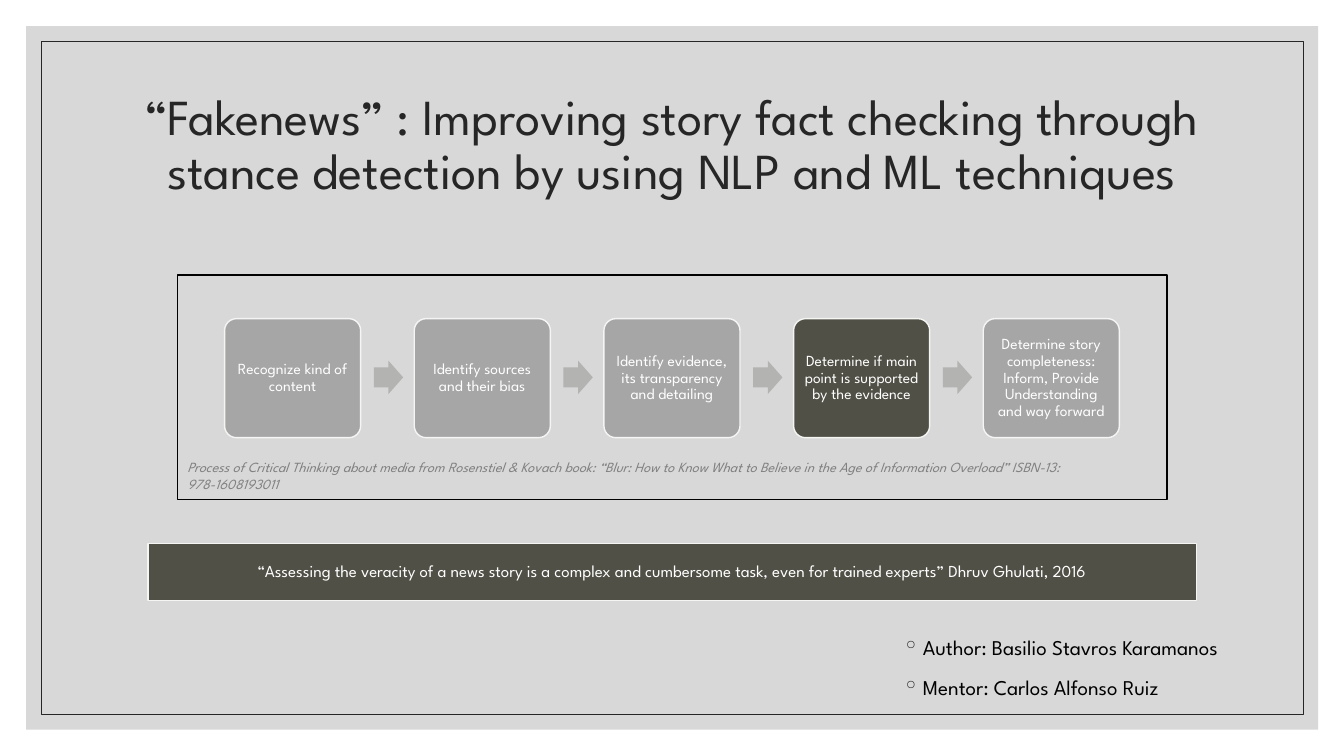
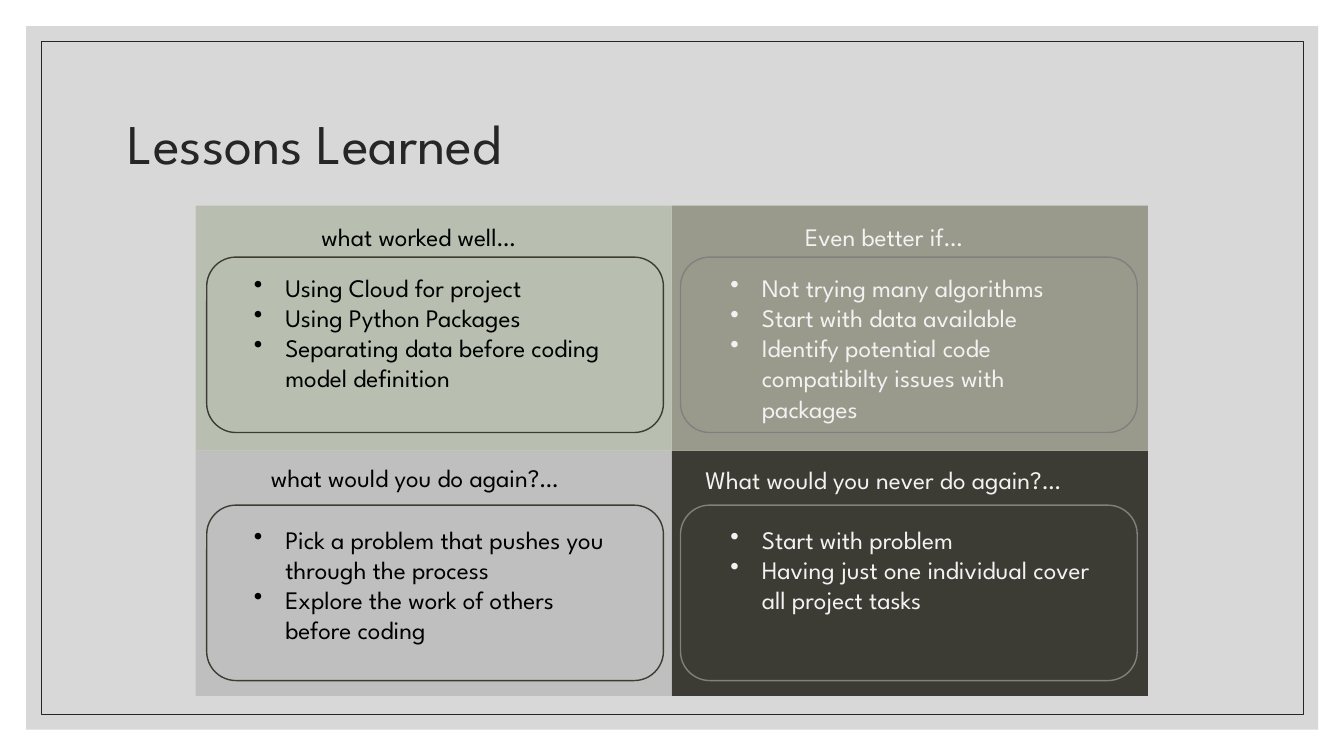
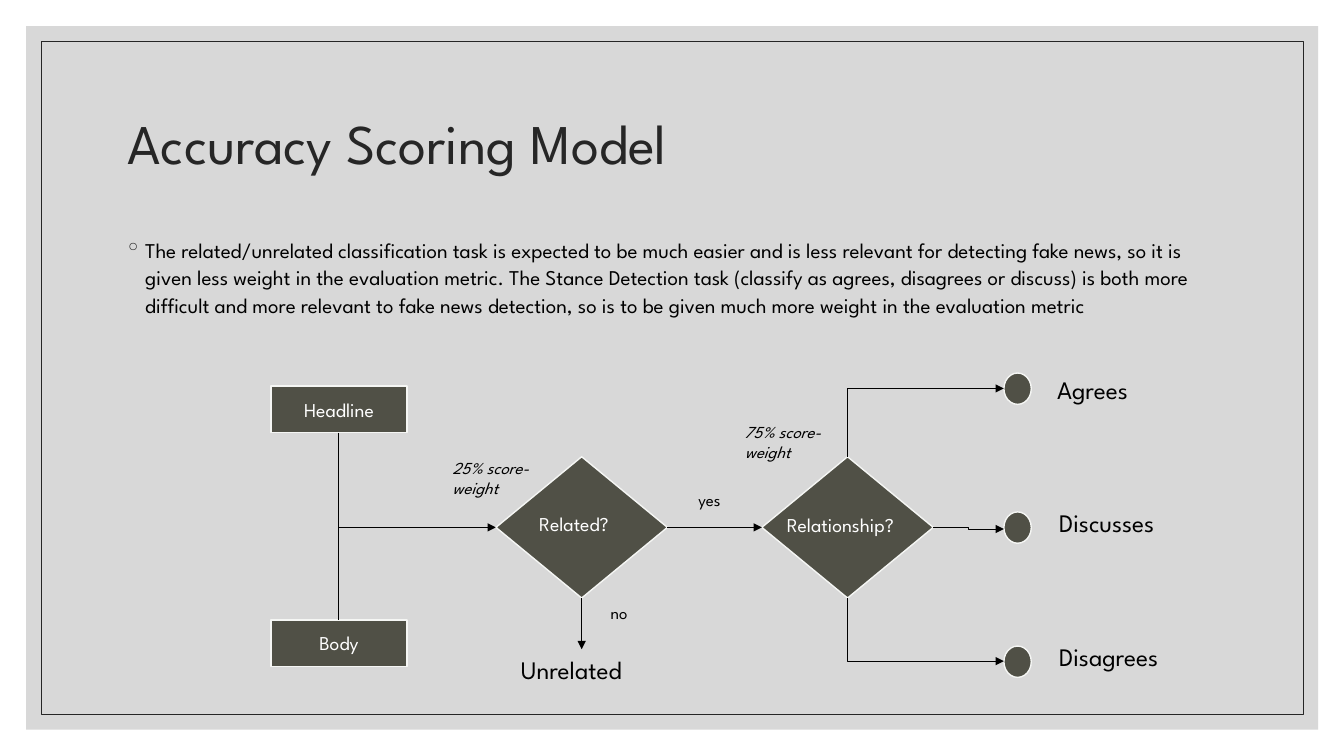
from lxml.etree import SubElement
from pptx import Presentation
from pptx.dml.color import RGBColor
from pptx.enum.shapes import MSO_CONNECTOR as Route, MSO_SHAPE as Form
from pptx.enum.text import MSO_ANCHOR as Anchor, PP_ALIGN as Align
from pptx.oxml.ns import qn
from pptx.util import Cm, Pt

FONT = "League Spartan"
COLORS = {
    "band": "BFBFBF", "ink": "262626", "black": "000000", "white": "FFFFFF",
    "edge": "F5F6F4", "olive": "505046", "dark olive": "3C3C34",
    "khaki": "9A9A8C", "sage": "B8BFB1", "gray": "808080",
    "step": "A6A6A6", "arrow": "B3B3B1", "pale": "F2F2F2",
}


def color_of(name):
    return RGBColor.from_string(COLORS[name])


def write(frame, *texts, size=18, color="black", italic=False, align=Align.LEFT,
          anchor=Anchor.TOP, leading=None, before=None, bullet=None,
          bullet_color=None, indent=0, margin=None):
    """Fill a text frame with one paragraph per text."""
    frame.word_wrap = True
    frame.vertical_anchor = anchor
    if margin is not None:
        frame.margin_left = frame.margin_right = Cm(margin)
        frame.margin_top = frame.margin_bottom = Cm(margin)
    for index, text in enumerate(texts):
        para = frame.add_paragraph() if index else frame.paragraphs[0]
        para.alignment = align
        if leading:
            para.line_spacing = leading
        if before:
            para.space_before = Pt(before)
        if bullet:
            props = para._p.get_or_add_pPr()
            props.set("marL", str(Cm(indent)))
            props.set("indent", str(-Cm(indent)))
            if bullet_color:
                tint = SubElement(props, qn("a:buClr"))
                SubElement(tint, qn("a:srgbClr"), val=COLORS[bullet_color])
            SubElement(props, qn("a:buChar"), char=bullet)
        span = para.add_run()
        span.text = text
        span.font.name = FONT
        span.font.size = Pt(size)
        span.font.italic = italic
        span.font.color.rgb = color_of(color)


class Sheets:
    """Holds the shared style and the slide being drawn."""

    def __init__(self, deck):
        self.deck = deck
        self.page = None

    def start(self, title, size=40, align=Align.LEFT):
        self.page = self.deck.slides.add_slide(self.deck.slide_layouts[6])
        band = self.shape(Form.RECTANGLE, 0.66, 0.66, 32.56, 17.73, fill="band")
        tint = band.fill._xPr.find(qn("a:solidFill"))[0]
        SubElement(tint, qn("a:alpha"), val="60000")
        self.shape(Form.RECTANGLE, 1.04, 1.04, 31.8, 16.97, line="ink", weight=0.5)
        self.text(2.97, 1.78, 27.94, 3.81, title, size=size, color="ink",
                  align=align, anchor=Anchor.MIDDLE, leading=0.9)

    def shape(self, form, left, top, width, height, fill=None, line=None,
              weight=1, adjust=()):
        shape = self.page.shapes.add_shape(
            form, Cm(left), Cm(top), Cm(width), Cm(height))
        shape.shadow.inherit = False
        for index, value in enumerate(adjust):
            shape.adjustments[index] = value
        if fill:
            shape.fill.solid()
            shape.fill.fore_color.rgb = color_of(fill)
        else:
            shape.fill.background()
        if line:
            shape.line.color.rgb = color_of(line)
            shape.line.width = Pt(weight)
        else:
            shape.line.fill.background()
        return shape

    def block(self, form, left, top, width, height, text=None, fill="olive",
              adjust=(), **style):
        """A filled shape with a pale edge and centred white text."""
        shape = self.shape(form, left, top, width, height, fill=fill,
                           line="edge", adjust=adjust)
        if text:
            write(shape.text_frame, text, color="white", align=Align.CENTER,
                  anchor=Anchor.MIDDLE, margin=0.13, **style)

    def text(self, left, top, width, height, *texts, **style):
        box = self.page.shapes.add_textbox(Cm(left), Cm(top), Cm(width), Cm(height))
        write(box.text_frame, *texts, **style)

    def body(self, left, top, width, height, *texts):
        self.text(left, top, width, height, *texts, size=15, leading=1.1,
                  before=9, bullet="◦", bullet_color="ink", indent=0.51)

    def line(self, x1, y1, x2, y2, route=Route.STRAIGHT, arrow=True):
        link = self.page.shapes.add_connector(route, Cm(x1), Cm(y1), Cm(x2), Cm(y2))
        link.line.color.rgb = color_of("black")
        link.line.width = Pt(0.5)
        if arrow:
            SubElement(link.line._get_or_add_ln(), qn("a:tailEnd"), type="triangle")
        SubElement(link.element.spPr, qn("a:effectLst"))
        return link

    def corner(self, x1, y1, x2, y2, arrow=True):
        """One bend: vertical from the start, then right to the end."""
        mid_x, mid_y = (x1 + x2) / 2, (y1 + y2) / 2
        half_rise = abs(y2 - y1) / 2
        half_run = (x2 - x1) / 2 * (1 if y2 > y1 else -1)
        link = self.line(mid_x + half_rise, mid_y - half_run,
                         mid_x - half_rise, mid_y + half_run, Route.ELBOW, arrow)
        props = link.element.spPr
        props.find(qn("a:prstGeom")).set("prst", "bentConnector2")
        turn = 270 if y2 > y1 else 90
        props.find(qn("a:xfrm")).set("rot", str(turn * 60000))


def fact_checking(sheet):
    sheet.start("“Fakenews” : Improving story fact checking through stance "
                "detection by using NLP and ML techniques", 36, Align.CENTER)
    sheet.shape(Form.RECTANGLE, 4.47, 6.93, 24.94, 5.66, line="black")
    sheet.body(22.5, 15.8, 9.8, 1.93, "Author: Basilio Stavros Karamanos",
               "Mentor: Carlos Alfonso Ruiz")
    sheet.text(4.47, 11.43, 22.58, 1.12,
               "Process of Critical Thinking about media from Rosenstiel & Kovach "
               "book: “Blur: How to Know What to Believe in the Age of Information "
               "Overload” ISBN-13: 978-1608193011",
               size=10, color="gray", italic=True)
    # Process steps
    steps = ["Recognize kind of content",
             "Identify sources and their bias",
             "Identify evidence, its transparency and detailing",
             "Determine if main point is supported by the evidence",
             "Determine story completeness: Inform, Provide Understanding "
             "and way forward"]
    focus = 3
    for index, step in enumerate(steps):
        left = 5.66 + 4.78 * index
        sheet.block(Form.ROUNDED_RECTANGLE, left, 8.03, 3.43, 3, step,
                    fill="olive" if index == focus else "step", adjust=[0.1],
                    size=11, leading=0.9)
        if index < len(steps) - 1:
            sheet.shape(Form.RIGHT_ARROW, left + 3.76, 9.09, 0.74, 0.84,
                        fill="arrow", adjust=[0.6, 0.5])
    # Quote
    sheet.block(Form.RECTANGLE, 3.73, 13.69, 26.42, 1.45,
                "“Assessing the veracity of a news story is a complex and cumbersome "
                "task, even for trained experts” Dhruv Ghulati, 2016",
                size=12, leading=0.9)


def lessons(sheet):
    sheet.start("Lessons Learned")
    # column, row, fill, heading, heading left, top and width, points
    quadrants = [
        (0, 0, "sage", "what worked well…", 7.85, 5.44, 6.63,
         ["Using Cloud for project", "Using Python Packages",
          "Separating data before coding model definition"]),
        (1, 0, "khaki", "Even better if…", 20.04, 5.44, 5.26,
         ["Not trying many algorithms", "Start with data available",
          "Identify potential code compatibilty issues with packages"]),
        (0, 1, "band", "what would you do again?…", 6.58, 11.53, 9.58,
         ["Pick a problem that pushes you through the process",
          "Explore the work of others before coding"]),
        (1, 1, "dark olive", "What would you never do again?…", 17.53, 11.58, 11.61,
         ["Start with problem",
          "Having just one individual cover all project tasks"]),
    ]
    for column, row, fill, heading, left, top, width, points in quadrants:
        edge, ink = [("dark olive", "black"), ("gray", "pale")][column]
        sheet.shape(Form.RECTANGLE, 4.93 + 12 * column, 5.18 + 6.18 * row,
                    12, 6.18, fill=fill)
        sheet.shape(Form.ROUNDED_RECTANGLE, 5.21 + 11.94 * column,
                    6.48 + 6.25 * row, 11.51, 4.42, line=edge)
        sheet.text(left, top, width, 1.02, heading, color=ink)
        sheet.text(6.15 + 12.01 * column, 6.73 + 6.35 * row, 9.6, 4.1, *points,
                   color=ink, bullet="•", indent=0.79)


def scoring(sheet):
    sheet.start("Accuracy Scoring Model")
    sheet.body(2.9, 5.79, 27.94, 10.69,
               "The related/unrelated classification task is expected to be much "
               "easier and is less relevant for detecting fake news, so it is given "
               "less weight in the evaluation metric. The Stance Detection task "
               "(classify as agrees, disagrees or discuss) is both more difficult and "
               "more relevant to fake news detection, so is to be given much more "
               "weight in the evaluation metric")
    middle = 13.29
    # Inputs
    for name, top, exit_y, arrow in [("Headline", 9.73, 10.9, True),
                                     ("Body", 15.62, 15.62, False)]:
        sheet.block(Form.FLOWCHART_PROCESS, 6.83, top, 3.43, 1.17, name, size=14)
        sheet.corner(8.54, exit_y, 12.5, middle, arrow)
    # Decisions
    for left in (12.5, 19.2):
        sheet.block(Form.FLOWCHART_DECISION, left, 11.51, 4.32, 3.56)
    sheet.line(16.82, middle, 19.2, middle)
    sheet.line(14.66, 15.07, 14.66, 16.36)
    # Outcomes
    for name, left, top, dot_top in [("Agrees", 26.39, 9.3, 9.4),
                                     ("Discusses", 26.44, 12.65, 12.9),
                                     ("Disagrees", 26.44, 16.03, 16.28)]:
        sheet.block(Form.FLOWCHART_CONNECTOR, 25.3, dot_top, 0.69, 0.79)
        sheet.text(left, top, 3.5, 1.02, name)
    sheet.corner(21.36, 11.51, 25.3, 9.79)
    sheet.line(23.52, middle, 25.3, 13.33, Route.ELBOW)
    sheet.corner(21.36, 15.07, 25.3, 16.66)
    # Labels
    sheet.text(12.88, 16.36, 3.58, 1.02, "Unrelated")
    sheet.text(13.34, 12.78, 2.72, 0.86, "Related?", size=14, color="white")
    sheet.text(19.58, 12.8, 3.71, 0.86, "Relationship?", size=14, color="white")
    sheet.text(15.14, 15.06, 1.07, 0.76, "no", size=12)
    sheet.text(17.35, 12.22, 1.17, 0.76, "yes", size=12)
    for share, left, top in [("25%", 11.15, 11.4), ("75%", 18.52, 10.49)]:
        sheet.text(left, top, 2.69, 1.27, f"{share} score-weight", size=12,
                   italic=True)


def main():
    deck = Presentation()
    deck.slide_width, deck.slide_height = Cm(33.87), Cm(19.05)
    sheet = Sheets(deck)
    for draw in (fact_checking, lessons, scoring):
        draw(sheet)
    deck.save("out.pptx")


if __name__ == "__main__":
    main()
